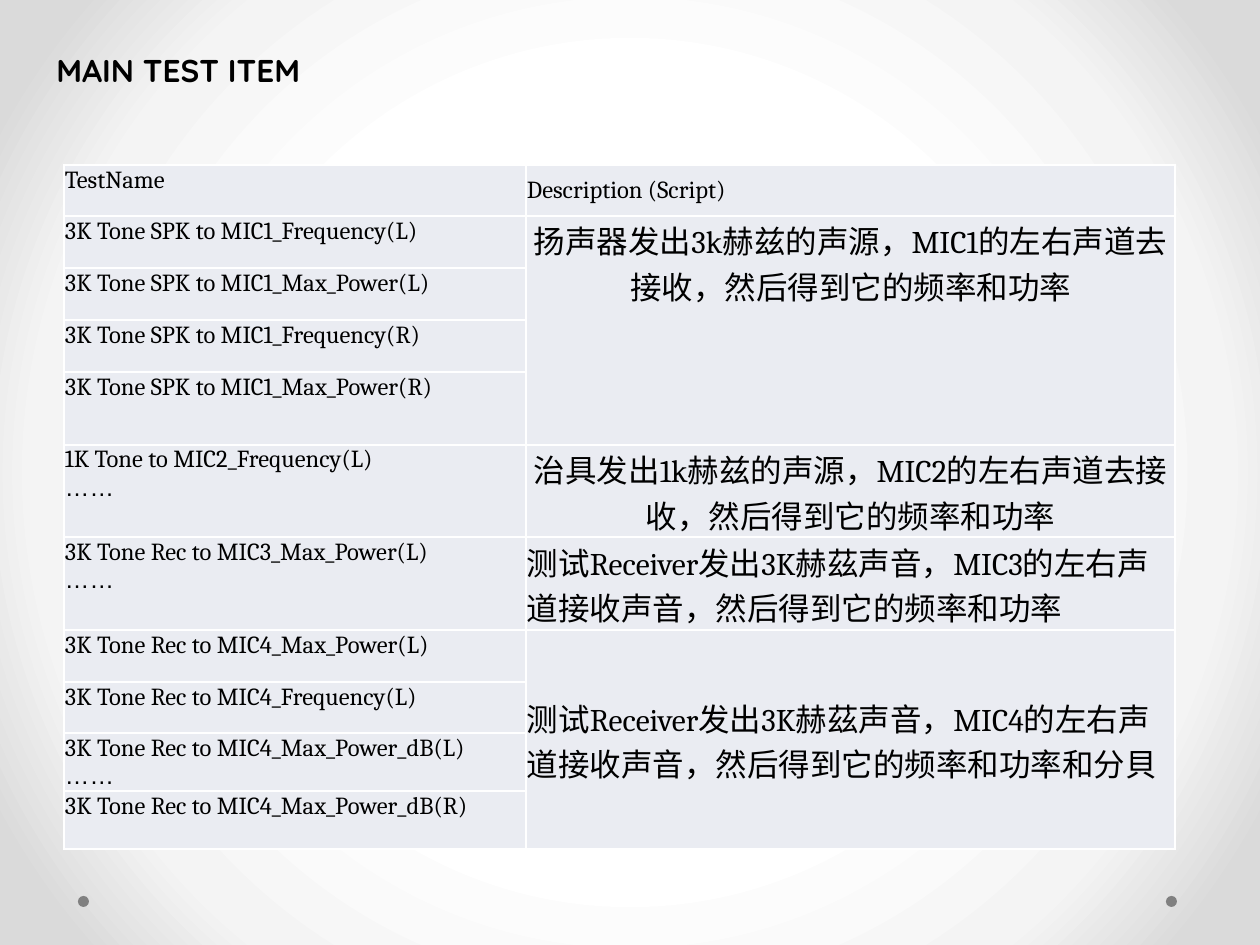
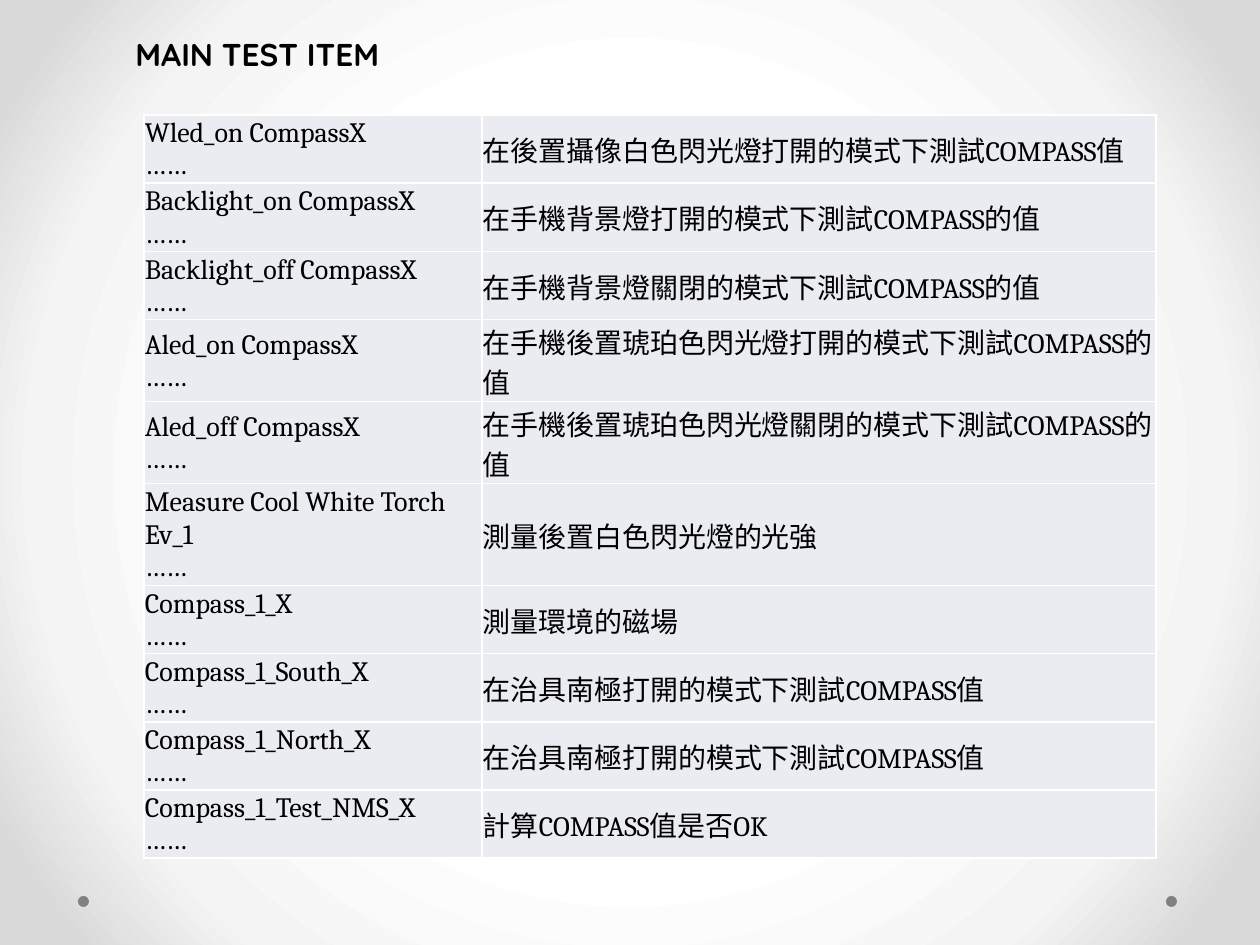
from dataclasses import dataclass

from lxml.etree import SubElement
from pptx import Presentation
from pptx.dml.color import RGBColor
from pptx.enum.shapes import MSO_SHAPE
from pptx.enum.text import MSO_ANCHOR, PP_ALIGN
from pptx.oxml.ns import qn
from pptx.util import Emu, Pt

TOP, MIDDLE = MSO_ANCHOR.TOP, MSO_ANCHOR.MIDDLE
LEFT, CENTER = PP_ALIGN.LEFT, PP_ALIGN.CENTER
MORE = "……"

# Each group: test names, description, alignment and anchor of the description.
# In a name, "\n" starts a paragraph and "\v" breaks the line.
AUDIO_GROUPS = [
    (["3K Tone SPK to MIC1_Frequency(L)",
      "3K Tone SPK to MIC1_Max_Power(L)",
      "3K Tone SPK to MIC1_Frequency(R)",
      "3K Tone SPK to MIC1_Max_Power(R)"],
     "扬声器发出3k赫兹的声源，MIC1的左右声道去接收，然后得到它的频率和功率", CENTER, TOP),
    (["1K Tone to MIC2_Frequency(L)\n" + MORE],
     "治具发出1k赫兹的声源，MIC2的左右声道去接收，然后得到它的频率和功率", CENTER, MIDDLE),
    (["3K Tone Rec to MIC3_Max_Power(L)\n" + MORE],
     "测试Receiver发出3K赫茲声音，MIC3的左右声道接收声音，然后得到它的频率和功率", LEFT, MIDDLE),
    (["3K Tone Rec to MIC4_Max_Power(L)",
      "3K Tone Rec to MIC4_Frequency(L)",
      "3K Tone Rec to MIC4_Max_Power_dB(L)\n" + MORE,
      "3K Tone Rec to MIC4_Max_Power_dB(R)"],
     "测试Receiver发出3K赫茲声音，MIC4的左右声道接收声音，然后得到它的频率和功率和分貝",
     LEFT, MIDDLE),
]

COMPASS_TESTS = [
    ("Wled_on CompassX", "在後置攝像白色閃光燈打開的模式下測試COMPASS值"),
    ("Backlight_on CompassX", "在手機背景燈打開的模式下測試COMPASS的值"),
    ("Backlight_off CompassX", "在手機背景燈關閉的模式下測試COMPASS的值"),
    ("Aled_on CompassX", "在手機後置琥珀色閃光燈打開的模式下測試COMPASS的值"),
    ("Aled_off CompassX", "在手機後置琥珀色閃光燈關閉的模式下測試COMPASS的值"),
    ("Measure Cool White Torch Ev_1", "測量後置白色閃光燈的光強"),
    ("Compass_1_X", "測量環境的磁場"),
    ("Compass_1_South_X", "在治具南極打開的模式下測試COMPASS值"),
    ("Compass_1_North_X", "在治具南極打開的模式下測試COMPASS值"),
    ("Compass_1_Test_NMS_X", "計算COMPASS值是否OK"),
]

SLIDES = [
    {"title_at": (44, 45), "table_at": (64, 165), "columns": (462, 649),
     "rows": (51, 52, 52, 52, 73, 92, 93, 52, 51, 58, 58),
     "header": ("TestName", "Description (Script)"), "groups": AUDIO_GROUPS,
     "name_size": 14, "description_size": 18, "name_anchor": TOP},
    {"title_at": (123, 29), "table_at": (144, 115), "columns": (338, 674),
     "rows": (66, 66, 65, 82, 82, 98, 66, 65, 66, 66),
     "header": None,
     "groups": [([f"{name}\v{MORE}"], text, LEFT, MIDDLE) for name, text in COMPASS_TESTS],
     "name_size": 16, "description_size": 16, "name_anchor": MIDDLE},
]

TITLE = "MAIN TEST ITEM"
TITLE_SIZE_PX = (476, 50)
SLIDE_SIZE_PX = (1260, 945)
DOT_LEFTS, DOT_TOP, DOT_SIZE = (1166, 78), 896, 11


@dataclass(frozen=True)
class Theme:
    text: str = "000000"
    cell: str = "EAECF2"
    border: str = "FFFFFF"
    dot: str = "808080"
    background: tuple = ((50, "FFFFFF"), (76, "F4F4F4"), (92, "DADADA"))
    title_font: str = "Quicksand"
    body_font: str = "Cambria"
    more_font: str = "Arial"
    title_size: int = 18
    border_width: int = 1


THEME = Theme()


def px(length):
    return Emu(round(length * 914400 / 126))


def add_run(paragraph, text, font_name, size, bold=False):
    run = paragraph.add_run()
    run.text = text
    run.font.name = font_name
    run.font.size = Pt(size)
    run.font.bold = bold
    run.font.color.rgb = RGBColor.from_string(THEME.text)


def paint_background(slide):
    """Fill the slide with a gradient that spreads from its centre."""
    fill = slide.background.fill
    fill.gradient()
    gradient = slide.background._cSld.find(".//" + qn("a:gradFill"))
    for child in list(gradient):
        gradient.remove(child)
    stops = SubElement(gradient, qn("a:gsLst"))
    for position, color in THEME.background:
        stop = SubElement(stops, qn("a:gs"), pos=str(position * 1000))
        SubElement(stop, qn("a:srgbClr"), val=color)
    circle = SubElement(gradient, qn("a:path"), {"path": "circle"})
    SubElement(circle, qn("a:fillToRect"), {side: "50000" for side in "ltrb"})


def add_dots(slide):
    for left in DOT_LEFTS:
        dot = slide.shapes.add_shape(
            MSO_SHAPE.OVAL, px(left), px(DOT_TOP), px(DOT_SIZE), px(DOT_SIZE))
        dot.shadow.inherit = False
        dot.fill.solid()
        dot.fill.fore_color.rgb = RGBColor.from_string(THEME.dot)
        dot.line.fill.background()


def add_title(slide, position):
    title = slide.shapes.add_textbox(*map(px, position + TITLE_SIZE_PX))
    title.text_frame.word_wrap = True
    add_run(title.text_frame.paragraphs[0], TITLE,
            THEME.title_font, THEME.title_size, bold=True)


def style_cell(cell):
    properties = cell._tc.get_or_add_tcPr()
    for side in "LRTB":
        line = SubElement(properties, qn(f"a:ln{side}"), w=str(Pt(THEME.border_width)))
        SubElement(SubElement(line, qn("a:solidFill")), qn("a:srgbClr"), val=THEME.border)
    cell.fill.solid()
    cell.fill.fore_color.rgb = RGBColor.from_string(THEME.cell)
    cell.margin_left = cell.margin_right = cell.margin_top = px(1)
    cell.margin_bottom = 0


def write_cell(cell, text, size, anchor, alignment=LEFT):
    cell.vertical_anchor = anchor
    for index, block in enumerate(text.split("\n")):
        frame = cell.text_frame
        paragraph = frame.add_paragraph() if index else frame.paragraphs[0]
        paragraph.alignment = alignment
        font_name = THEME.more_font if block == MORE else THEME.body_font
        for number, line in enumerate(block.split("\v")):
            if number:
                paragraph.add_line_break()
            add_run(paragraph, line, font_name, size)


def add_test_table(slide, content):
    columns, rows = content["columns"], content["rows"]
    box = (*content["table_at"], sum(columns), sum(rows))
    table = slide.shapes.add_table(len(rows), len(columns), *map(px, box)).table
    table.first_row = table.horz_banding = False
    for column, width in zip(table.columns, columns):
        column.width = px(width)
    for row, height in zip(table.rows, rows):
        row.height = px(height)
    for cell in table.iter_cells():
        style_cell(cell)

    name_size, name_anchor = content["name_size"], content["name_anchor"]
    row = 0
    if content["header"]:
        for column, (text, anchor) in enumerate(zip(content["header"], (name_anchor, MIDDLE))):
            write_cell(table.cell(0, column), text, name_size, anchor)
        row = 1
    for names, description, alignment, anchor in content["groups"]:
        description_cell = table.cell(row, 1)
        if len(names) > 1:
            description_cell.merge(table.cell(row + len(names) - 1, 1))
        write_cell(description_cell, description, content["description_size"], anchor, alignment)
        for name in names:
            write_cell(table.cell(row, 0), name, name_size, name_anchor)
            row += 1


def main():
    presentation = Presentation()
    presentation.slide_width, presentation.slide_height = map(px, SLIDE_SIZE_PX)
    for content in SLIDES:
        slide = presentation.slides.add_slide(presentation.slide_layouts[6])
        paint_background(slide)
        add_dots(slide)
        add_test_table(slide, content)
        add_title(slide, content["title_at"])
    presentation.save("out.pptx")


if __name__ == "__main__":
    main()
